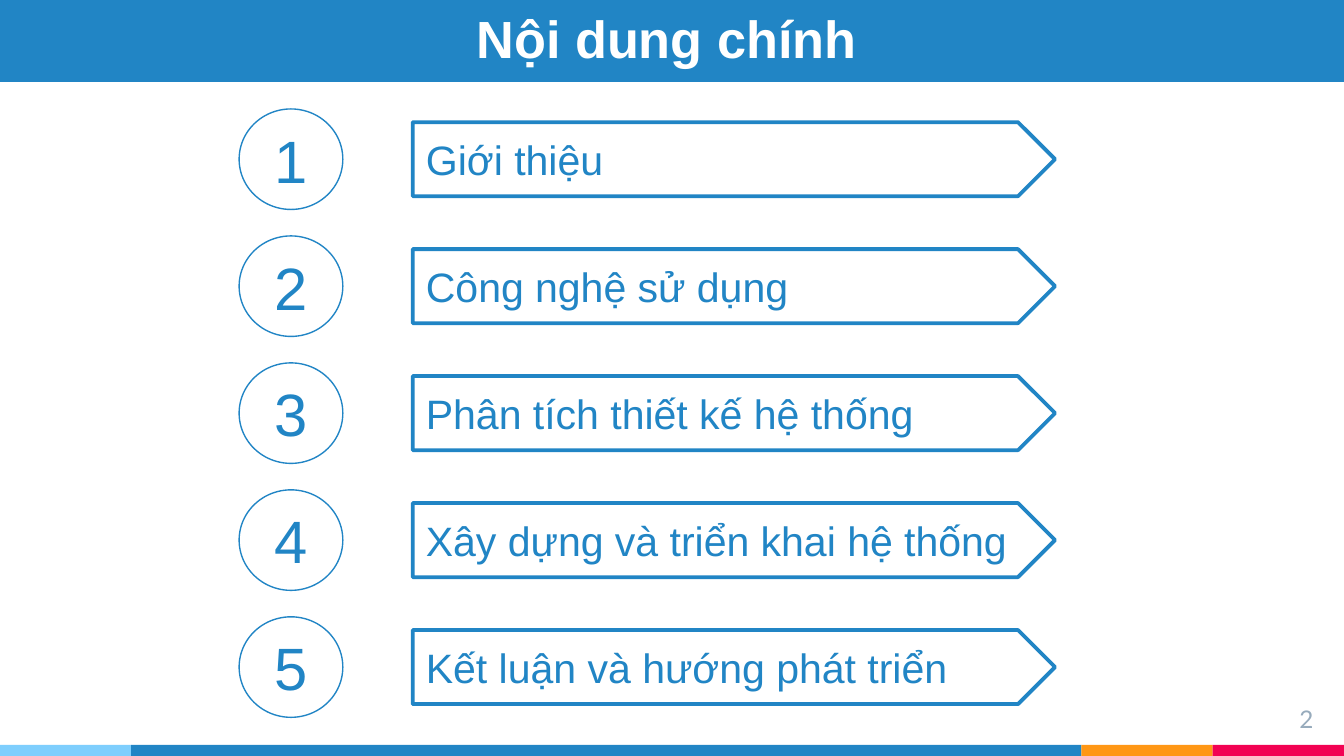
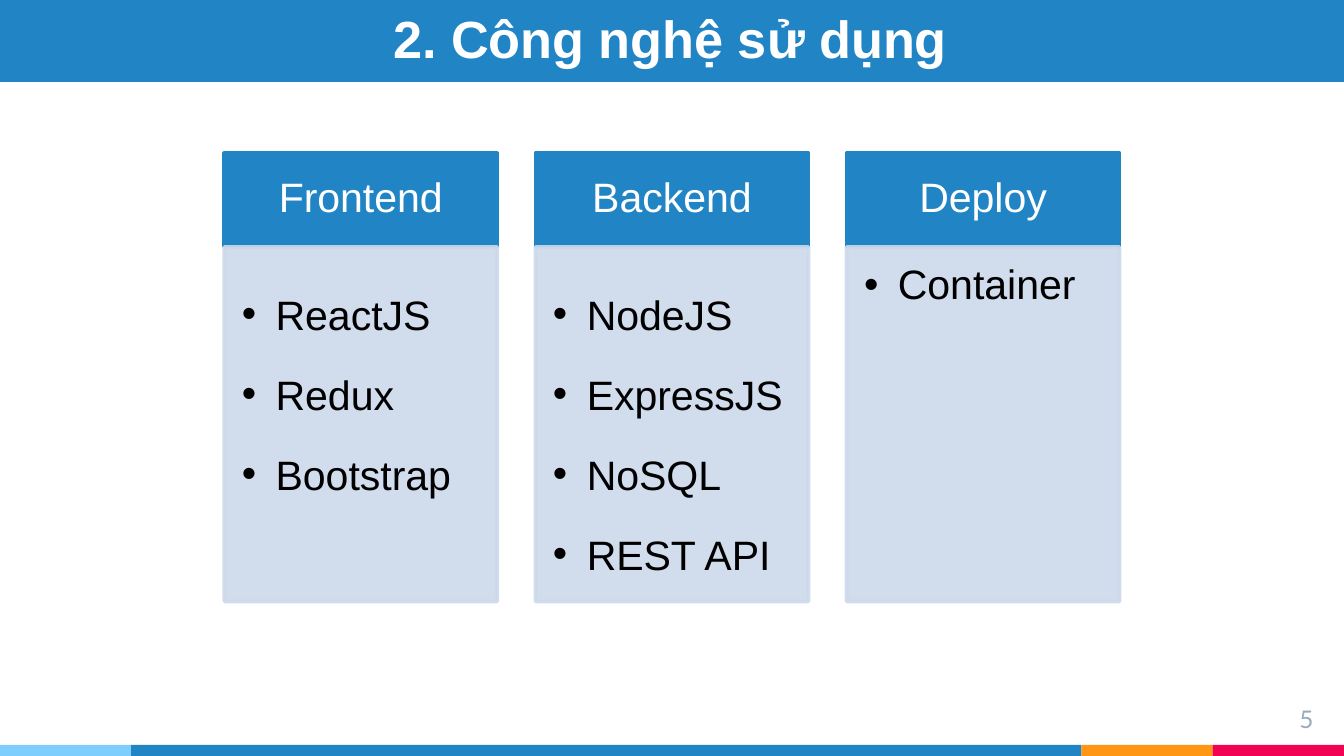
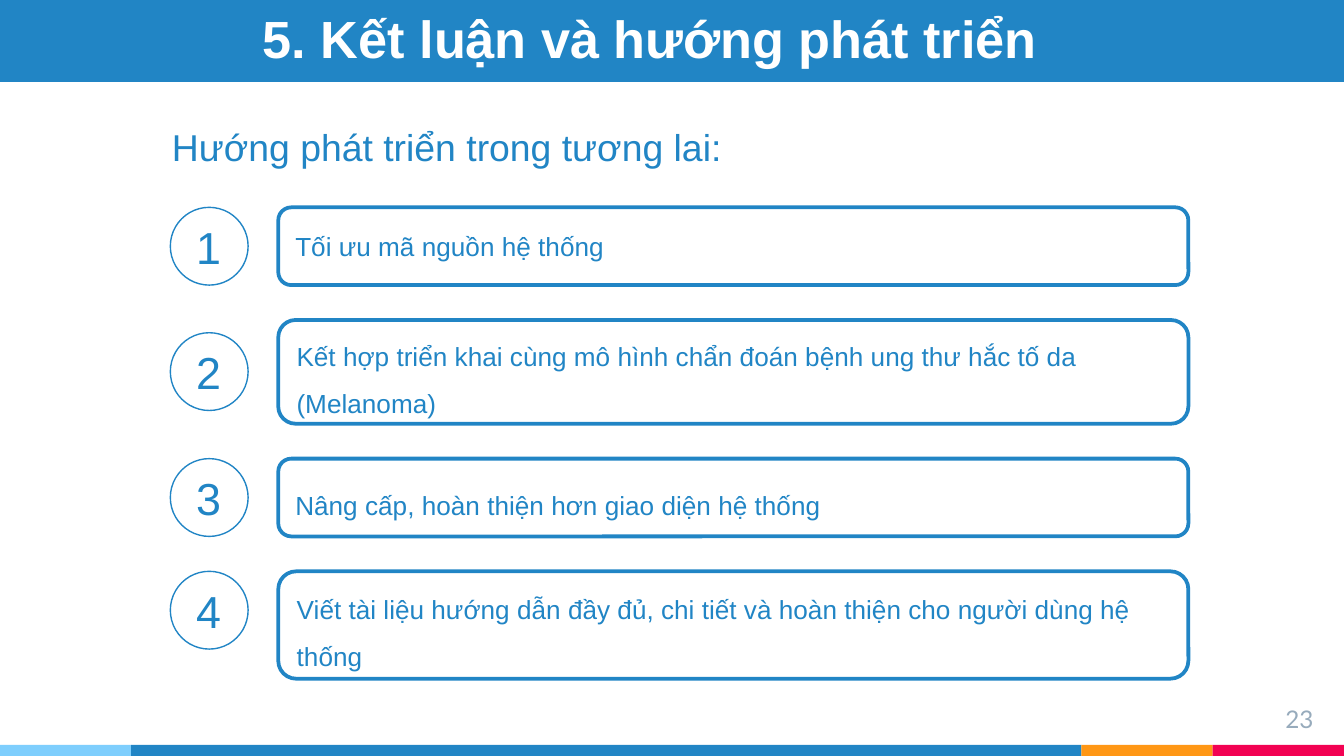
from lxml import etree
from pptx import Presentation
from pptx import util as u
from pptx.dml.color import RGBColor
from pptx.enum import shapes, text
from pptx.oxml.ns import qn

HUES = {
    "blue": "2185C5", "sky": "7ECEFD", "orange": "FF9715", "pink": "F20253",
    "pale": "CDD9EA", "grey": "97ABBC", "white": "FFFFFF", "black": "000000",
}
KIND = shapes.MSO_SHAPE
ALIGN = text.PP_ALIGN
ANCHOR = text.MSO_ANCHOR
WIDTH, HEIGHT = 25.4, 14.29
EDGE = (0.25, 0.25, 0.25, 0.25)
THIN = (0.25, 0.13, 0.25, 0.13)


def hue(name):
    """Return the colour of that name."""
    return RGBColor.from_string(HUES[name])


def fade(fill, share):
    """Make a solid fill partly transparent."""
    for tint in fill.iter(qn("a:srgbClr")):
        etree.SubElement(tint, qn("a:alpha"), val=str(share * 1000))


def draw(slide, kind, place, fill=None, line=None, width=2):
    """Add a preset shape at (left, top, width, height) in centimetres."""
    shape = slide.shapes.add_shape(kind, *map(u.Cm, place))
    shape.shadow.inherit = False
    if fill:
        shape.fill.solid()
        shape.fill.fore_color.rgb = hue(fill)
    else:
        shape.fill.background()
    if line:
        shape.line.color.rgb = hue(line)
        shape.line.width = u.Pt(width)
    else:
        shape.line.fill.background()
    return shape


def write(shape, lines, size, tone="blue", align=ALIGN.LEFT, anchor=ANCHOR.MIDDLE,
          inset=EDGE, face="Arial", bold=False, lead=None, after=0, wrap=True):
    """Fill a shape with equally styled paragraphs and return them."""
    frame = shape.text_frame
    frame.word_wrap = wrap
    frame.vertical_anchor = anchor
    (frame.margin_left, frame.margin_top,
     frame.margin_right, frame.margin_bottom) = map(u.Cm, inset)
    frame.text = "\n".join(lines)
    for para in frame.paragraphs:
        para.alignment = align
        para.space_after = u.Pt(after)
        if lead:
            para.line_spacing = lead
        font = para.font
        font.name, font.size, font.bold = face, u.Pt(size), bold
        font.color.rgb = hue(tone)
    return frame.paragraphs


def label(slide, place, words, size, **style):
    """Add a text box with one paragraph."""
    box = slide.shapes.add_textbox(*map(u.Cm, place))
    write(box, [words], size, **style)


def dot(para, gap=0.64):
    """Give a paragraph a round bullet and a hanging indent."""
    props = para._p.get_or_add_pPr()
    props.set("marL", str(u.Cm(gap)))
    props.set("indent", str(-u.Cm(gap)))
    etree.SubElement(props, qn("a:buFont"), typeface="Arial")
    etree.SubElement(props, qn("a:buChar"), char="•")
    runs = props.find(qn("a:defRPr"))
    if runs is not None:
        props.append(runs)


def start(deck, title, left, number):
    """Add a slide with its title band, number and colour strip."""
    slide = deck.slides.add_slide(deck.slide_layouts[6])
    strip, side = 0.21, 2.48
    stops = [0, side, WIDTH - 2 * side, WIDTH - side, WIDTH]
    for name, here, end in zip(("sky", "blue", "orange", "pink"), stops, stops[1:]):
        draw(slide, KIND.RECTANGLE, (here, HEIGHT - strip, end - here, strip), name)
    draw(slide, KIND.RECTANGLE, (0, 0, WIDTH, 1.52), "blue", "blue")
    label(slide, (left, 0, WIDTH - 2 * left, 1.55), title, 28, tone="white",
          anchor=ANCHOR.BOTTOM, bold=True)
    label(slide, (23.55, 13.06, 1.52, 0.86), str(number), 13, tone="grey",
          align=ALIGN.RIGHT, anchor=ANCHOR.TOP, face="Lato")
    return slide


def badge(slide, place, number, size):
    """Add a numbered circle."""
    ring = draw(slide, KIND.OVAL, place, line="blue", width=0.75)
    write(ring, [str(number)], size, align=ALIGN.CENTER, inset=THIN)


def agenda(slide, topics):
    """Add evenly spaced numbered arrows."""
    top, step, tall, high = 2.06, 2.4, 1.9, 1.4
    for row, topic in enumerate(topics):
        here = top + row * step
        badge(slide, (4.52, here, 1.96, tall), row + 1, 32)
        place = (7.8, here + (tall - high) / 2, 12.14, high)
        arrow = draw(slide, KIND.PENTAGON, place, "white", "blue")
        write(arrow, [topic], 22)


def stack(slide, column, head, items, lead):
    """Add one column with a heading and a bulleted panel."""
    left, wide = 4.24 + column * 5.88, 5.16
    top = draw(slide, KIND.RECTANGLE, (left, 2.9, wide, 1.75), "blue", "blue")
    write(top, [head], 22, "white", ALIGN.CENTER, inset=(0.43, 0.25, 0.43, 0.25), lead=0.9)
    panel = draw(slide, KIND.RECTANGLE, (left, 4.67, wide, 6.7), "pale", "pale")
    fade(panel._element.spPr, 90)
    for para in write(panel, items, 22, "black", anchor=ANCHOR.TOP,
                      inset=(0.33, 0.33, 0.43, 0.48), lead=lead, after=3.3):
        dot(para)


def plans(slide, goals):
    """Add numbered boxes, one below the other with equal gaps."""
    top, gap, disc = 3.92, 0.66, 1.47
    for number, (goal, high, drop, lead) in enumerate(goals, 1):
        badge(slide, (3.22, top + drop, disc, disc), number, 24)
        box = draw(slide, KIND.ROUNDED_RECTANGLE, (5.26, top, 17.2, high), "white", "blue")
        write(box, [goal], 14, inset=THIN, lead=lead)
        top += high + gap


def main():
    """Build the three slides."""
    deck = Presentation()
    deck.slide_width, deck.slide_height = u.Cm(WIDTH), u.Cm(HEIGHT)

    agenda(start(deck, "Nội dung chính", 8.76, 2), [
        "Giới thiệu",
        "Công nghệ sử dụng",
        "Phân tích thiết kế hệ thống",
        "Xây dựng và triển khai hệ thống",
        "Kết luận và hướng phát triển",
    ])

    slide = start(deck, "2. Công nghệ sử dụng", 7.18, 5)
    stacks = [
        ("Frontend", ["ReactJS", "Redux", "Bootstrap"], 1.5),
        ("Backend", ["NodeJS", "ExpressJS", "NoSQL", "REST API"], 1.5),
        ("Deploy", ["Container"], 0.9),
    ]
    for column, parts in enumerate(stacks):
        stack(slide, column, *parts)

    slide = start(deck, "5. Kết luận và hướng phát triển", 4.72, 23)
    label(slide, (3.0, 2.21, 10.97, 1.11), "Hướng phát triển trong tương lai:", 20,
          anchor=ANCHOR.TOP, inset=THIN, wrap=False)
    plans(slide, [
        ("Tối ưu mã nguồn hệ thống", 1.47, 0, 1.0),
        ("Kết hợp triển khai cùng mô hình chẩn đoán bệnh ung thư hắc tố da (Melanoma)",
         1.96, 0.24, 1.5),
        ("Nâng cấp, hoàn thiện hơn giao diện hệ thống", 1.47, 0, 1.5),
        ("Viết tài liệu hướng dẫn đầy đủ, chi tiết và hoàn thiện cho người dùng hệ thống",
         2.03, 0, 1.5),
    ])
    deck.save("out.pptx")


if __name__ == "__main__":
    main()
